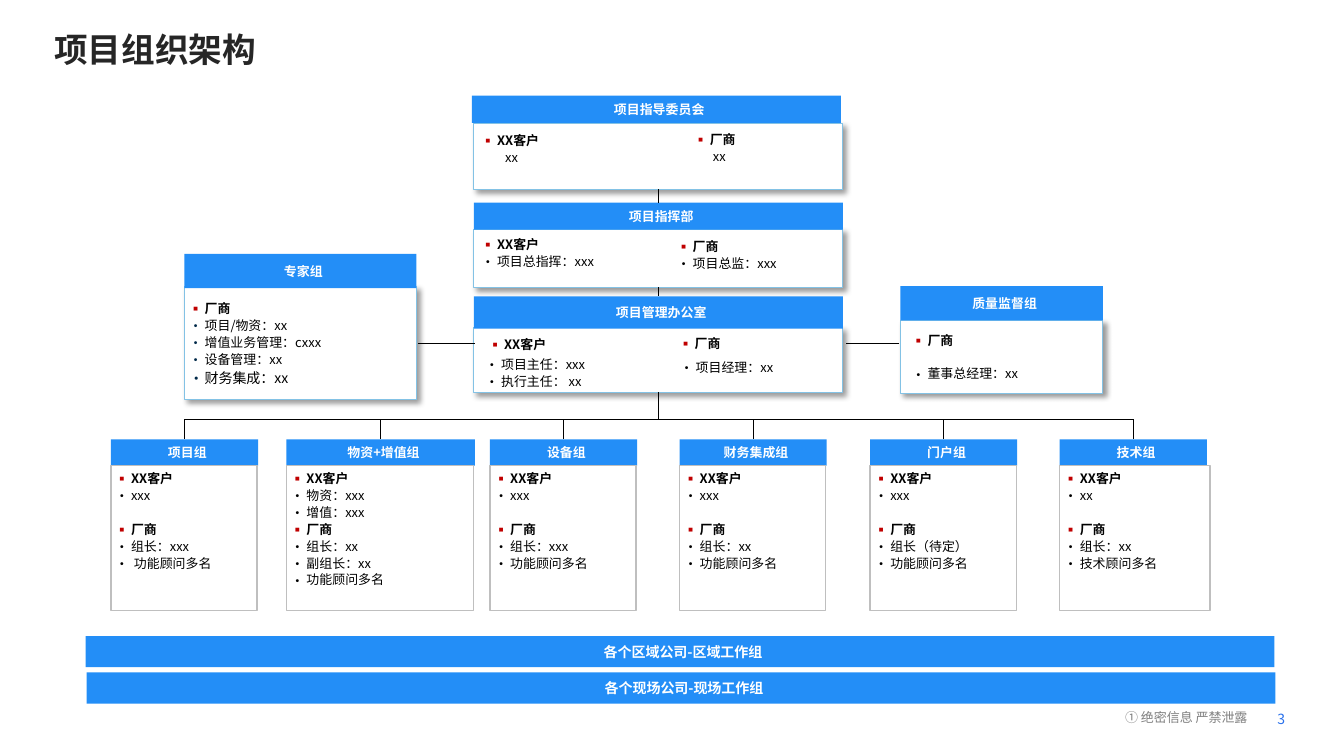
from dataclasses import dataclass

from lxml import etree
from pptx import Presentation
from pptx.dml.color import RGBColor
from pptx.enum.shapes import MSO_CONNECTOR as Connector, MSO_SHAPE as Shape
from pptx.enum.text import MSO_ANCHOR as Anchor, PP_ALIGN as Align
from pptx.oxml import parse_xml
from pptx.oxml.ns import nsdecls, qn
from pptx.util import Inches, Pt

BLUE = RGBColor(0x23, 0x8E, 0xF7)
SKY = RGBColor(0x83, 0xC2, 0xE5)
PAGE_BLUE = RGBColor(0x2A, 0x71, 0xEC)
RED = RGBColor(0xC0, 0x00, 0x00)
NAVY = RGBColor(0x00, 0x29, 0x49)
BLACK = RGBColor(0x00, 0x00, 0x00)
INK = RGBColor(0x26, 0x26, 0x26)
GREY = RGBColor(0x80, 0x80, 0x80)
SILVER = RGBColor(0xBF, 0xBF, 0xBF)
WHITE = RGBColor(0xFF, 0xFF, 0xFF)

TOP, BOTTOM = 0, 2
CLIENT, VENDOR = "XX客户", "厂商"
LIST_INSETS = (0.04, 0.03, 0.04, 0.03)
HEADER_INSETS = (0.1, 0.05, 0.04, 0.05)


@dataclass
class Entry:
    text: str
    bullet: str = "•"
    tint: RGBColor = BLACK
    bold: bool = False
    size: float = 9.2
    indent: float = 0.16
    gap: bool = False  # leaves one line free above


def party(name, gap=False):
    """Bold name of one side, marked with a red square."""
    return Entry(name, "▪", RED, bold=True, gap=gap)


def plain(text, indent):
    return Entry(text, bullet="", indent=indent)


class OrgSlide:
    font_name = "Noto Sans CJK SC"
    leading = 1.32

    def __init__(self, deck):
        self.slide = deck.slides.add_slide(deck.slide_layouts[6])
        self.shapes = self.slide.shapes

    def apply(self, target, formats):
        for name, value in formats.items():
            setattr(target, name, value)

    def frame(self, shape, insets, anchor, wrap=True):
        left, top, right, bottom = map(Inches, insets)
        self.apply(shape.text_frame, {
            "margin_left": left, "margin_top": top, "margin_right": right,
            "margin_bottom": bottom, "vertical_anchor": anchor, "word_wrap": wrap})
        return shape.text_frame

    def style(self, paragraph, size, color, bold=False):
        for run in paragraph.runs:
            self.apply(run.font, {"name": self.font_name, "size": Pt(size), "bold": bold})
            run.font.color.rgb = color
            etree.SubElement(run.font._element, qn("a:ea")).set("typeface", self.font_name)

    def label(self, box, text, size, color, bold=False, insets=(0, 0, 0, 0)):
        """One line of text without a frame."""
        shape = self.shapes.add_textbox(*map(Inches, box))
        paragraph = self.frame(shape, insets, Anchor.MIDDLE).paragraphs[0]
        paragraph.text = text
        self.style(paragraph, size, color, bold)

    def panel(self, box, fill=None, line=None, weight=0.75, shadow=False):
        shape = self.shapes.add_shape(Shape.RECTANGLE, *map(Inches, box))
        shape.shadow.inherit = False
        if fill is None:
            shape.fill.background()
        else:
            shape.fill.solid()
            shape.fill.fore_color.rgb = fill
        if line is None:
            shape.line.fill.background()
        else:
            shape.line.color.rgb = line
            shape.line.width = Pt(weight)
        if shadow:
            effects = shape._element.spPr.find(qn("a:effectLst"))
            effects.append(parse_xml(
                f'<a:outerShdw {nsdecls("a")} blurRad="{Pt(4)}" dist="{Pt(3)}" '
                'dir="2700000" algn="tl" rotWithShape="0"><a:srgbClr val="000000">'
                '<a:alpha val="40000"/></a:srgbClr></a:outerShdw>'))
        return shape

    def card(self, box):
        return self.panel(box, WHITE, SKY, shadow=True)

    def header(self, box, text, size=9.2):
        shape = self.panel(box, BLUE)
        paragraph = self.frame(shape, HEADER_INSETS, Anchor.MIDDLE, False).paragraphs[0]
        paragraph.text = text
        paragraph.alignment = Align.CENTER
        self.style(paragraph, size, WHITE, True)
        return shape

    def fill_list(self, shape, entries):
        frame = self.frame(shape, LIST_INSETS, Anchor.TOP)
        for index, entry in enumerate(entries):
            paragraph = frame.add_paragraph() if index else frame.paragraphs[0]
            paragraph.text = entry.text
            paragraph.alignment = Align.LEFT
            properties = paragraph._p.get_or_add_pPr()
            properties.set("marL", str(Inches(entry.indent)))
            if entry.bullet:
                properties.set("indent", str(-Inches(entry.indent)))
                color = etree.SubElement(properties, qn("a:buClr"))
                etree.SubElement(color, qn("a:srgbClr")).set("val", str(entry.tint))
                etree.SubElement(properties, qn("a:buSzPct")).set("val", "110000")
                etree.SubElement(properties, qn("a:buFont")).set("typeface", self.font_name)
                etree.SubElement(properties, qn("a:buChar")).set("char", entry.bullet)
            pitch = Pt(entry.size * self.leading)
            paragraph.line_spacing = pitch
            if entry.gap:
                paragraph.space_before = pitch
            self.style(paragraph, entry.size, BLACK, entry.bold)

    def notes(self, box, *entries):
        self.fill_list(self.shapes.add_textbox(*map(Inches, box)), entries)

    def link(self, start, end, above=None, below=None):
        """Line from start to end, joined to the box above and the box below if given."""
        line = self.shapes.add_connector(Connector.STRAIGHT, *map(Inches, start + end))
        if above is not None:
            line.begin_connect(above, BOTTOM)
        if below is not None:
            line.end_connect(below, TOP)
        line.line.color.rgb = BLACK
        line.line.width = Pt(0.75)
        etree.SubElement(line._element.spPr, qn("a:effectLst"))


def draw_leadership(page):
    committee = page.card((4.7, 1.23, 3.66, 0.65))
    page.header((4.68, 0.95, 3.66, 0.27), "项目指导委员会")
    page.notes((4.73, 1.27, 2.14, 0.55), party(CLIENT), plain("xx", 0.24))
    page.notes((6.84, 1.26, 1.45, 0.55), party(VENDOR), plain("xx", 0.19))

    command = page.card((4.7, 2.28, 3.66, 0.57))
    command_header = page.header((4.7, 2.01, 3.66, 0.27), "项目指挥部")
    page.notes((4.73, 2.3, 1.97, 0.54), party(CLIENT), Entry("项目总指挥：xxx"))
    page.notes((6.67, 2.32, 1.89, 0.38), party(VENDOR), Entry("项目总监：xxx"))

    office = page.card((4.7, 3.25, 3.66, 0.64))
    office_header = page.header((4.7, 2.94, 3.66, 0.32), "项目管理办公室")
    page.notes((4.8, 3.29, 2.95, 0.3), party(CLIENT))
    page.notes((4.77, 3.49, 1.78, 0.49), Entry("项目主任：xxx"), Entry("执行主任： xx"))
    page.notes((6.69, 3.28, 1.88, 0.29), party(VENDOR))
    page.notes((6.7, 3.52, 1.59, 0.48), Entry("项目经理：xx"))

    page.link((6.53, 1.88), (6.53, 2.01), committee, command_header)
    page.link((6.53, 2.85), (6.53, 2.94), command, office_header)
    return office


def draw_side_groups(page):
    page.card((1.83, 2.84, 2.3, 1.12))
    page.header((1.83, 2.52, 2.3, 0.34), "专家组")
    duties = ("项目/物资：xx", "增值业务管理：cxxx", "设备管理：xx")
    page.notes((1.83, 2.94, 2.13, 1.02), party(VENDOR),
               *(Entry(duty, tint=NAVY) for duty in duties),
               Entry("财务集成：xx", tint=NAVY, size=10))
    page.link((4.15, 3.41), (4.71, 3.41))

    page.card((8.93, 3.18, 2.01, 0.72))
    page.header((8.93, 2.84, 2.01, 0.34), "质量监督组")
    page.notes((9, 3.25, 2.23, 0.55), party(VENDOR), Entry("董事总经理：xx", gap=True))
    page.link((8.92, 3.41), (8.39, 3.41))


def draw_teams(page, office):
    bus_y, header_y, body_y = 4.16, 4.36, 4.62
    # left, header width, body width, name, client lines, vendor lines
    teams = [
        (1.1, 1.46, 1.45, "项目组", ["xxx"], ["组长：xxx", " 功能顾问多名"]),
        (2.84, 1.87, 1.86, "物资+增值组", ["物资：xxx", "增值：xxx"],
         ["组长：xx", "副组长：xx", "功能顾问多名"]),
        (4.86, 1.46, 1.45, "设备组", ["xxx"], ["组长：xxx", "功能顾问多名"]),
        (6.74, 1.46, 1.45, "财务集成组", ["xxx"], ["组长：xx", "功能顾问多名"]),
        (8.63, 1.46, 1.45, "门户组", ["xxx"], ["组长（待定）", "功能顾问多名"]),
        (10.51, 1.46, 1.49, "技术组", ["xx"], ["组长：xx", "技术顾问多名"]),
    ]
    centers = [left + width / 2 for left, width, *_ in teams]
    page.link((6.53, 3.89), (6.53, bus_y), above=office)
    page.link((centers[0], bus_y), (centers[-1], bus_y))
    for center, (left, width, body_width, name, client, vendor) in zip(centers, teams):
        header = page.header((left, header_y, width, body_y - header_y), name)
        body = page.panel((left, body_y, body_width, 1.44), line=SILVER, weight=1)
        page.fill_list(body, [party(CLIENT), *map(Entry, client),
                              party(VENDOR, gap=len(client) == 1), *map(Entry, vendor)])
        page.link((center, bus_y), (center, header_y), below=header)


def main():
    deck = Presentation()
    deck.slide_width, deck.slide_height = Inches(13.33), Inches(7.5)
    page = OrgSlide(deck)
    page.label((0.44, 0.23, 10.6, 0.51), "项目组织架构", 24, INK, True, (0.1, 0.05, 0.1, 0.05))
    office = draw_leadership(page)
    draw_side_groups(page)
    draw_teams(page, office)
    page.header((0.85, 6.31, 11.79, 0.31), "各个区域公司-区域工作组", 10)
    page.header((0.86, 6.67, 11.79, 0.31), "各个现场公司-现场工作组", 10)
    page.label((11.16, 7.02, 1.33, 0.19), "① 绝密信息 严禁泄露", 9.3, GREY)
    page.label((12.67, 7.05, 0.23, 0.17), "3", 10, PAGE_BLUE)
    deck.save("out.pptx")


if __name__ == "__main__":
    main()
